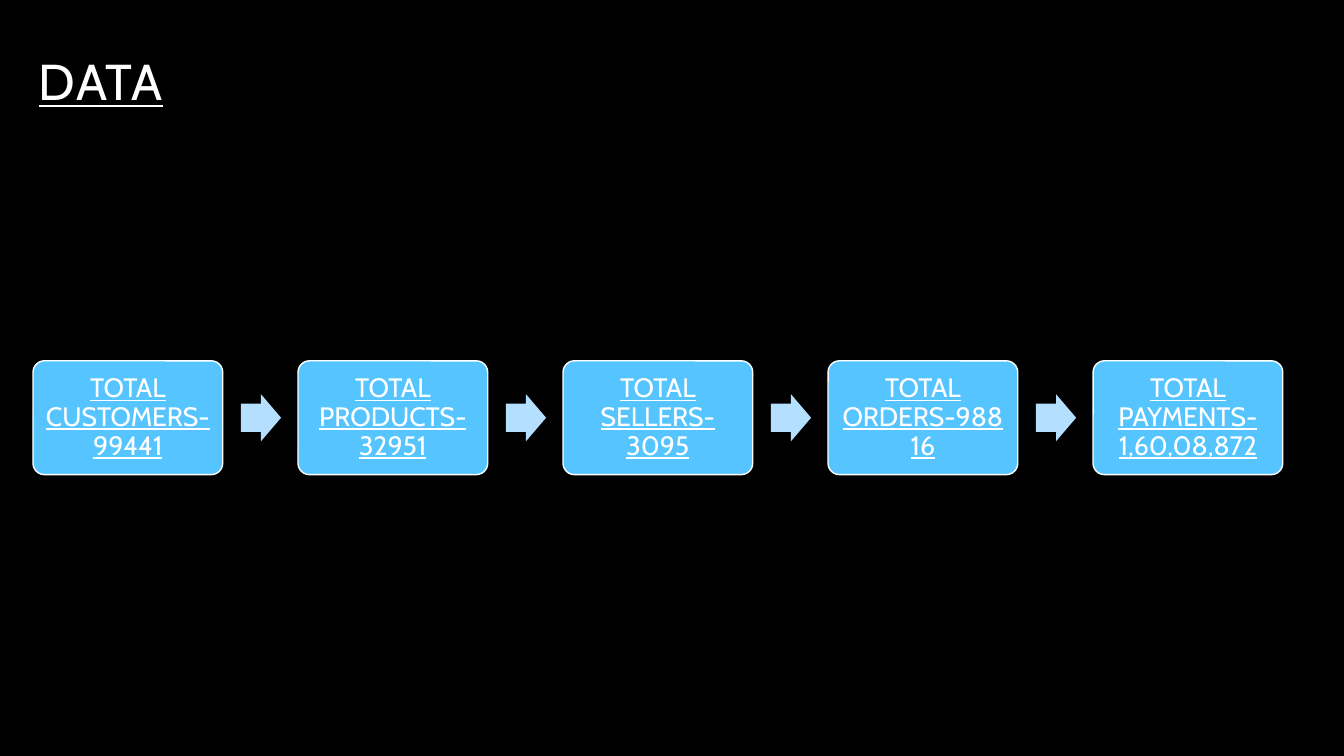
from pptx import Presentation
from pptx.dml.color import RGBColor as Rgb
from pptx.enum.shapes import MSO_SHAPE as Shape
from pptx.enum.text import MSO_ANCHOR as Anchor, PP_ALIGN as Align
from pptx.util import Pt

HUES = {"back": "000000", "text": "FFFFFF", "card": "56C5FF", "arrow": "B4DFFF"}
TOTALS = [
    "TOTAL CUSTOMERS- 99441",
    "TOTAL PRODUCTS- 32951",
    "TOTAL SELLERS- 3095",
    "TOTAL ORDERS-98816",
    "TOTAL PAYMENTS- 1,60,08,872",
]
LEFT, MID, PITCH = 23.6, 298.4, 189.3
CARD_W, CARD_H = 135.5, 81.3
ARROW_W, ARROW_H, ARROW_DX = 28.7, 33.6, 148.5


class Deck:
    face = "Cabin"

    def __init__(self, wide, high):
        self.prs = Presentation()
        self.prs.slide_width, self.prs.slide_height = Pt(wide), Pt(high)
        self.slide = self.prs.slides.add_slide(self.prs.slide_layouts[6])
        self.paint(self.slide.background.fill, "back")

    def paint(self, fill, hue):
        fill.solid()
        fill.fore_color.rgb = Rgb.from_string(HUES[hue])

    def label(self, frame, text, size, align):
        """Fill a frame with one underlined paragraph and return its run."""
        frame.word_wrap = True
        frame.text = text
        para = frame.paragraphs[0]
        para.alignment, para.line_spacing = align, 0.9
        run = para.runs[0]
        font = run.font
        font.name, font.size, font.underline = self.face, Pt(size), True
        font.color.rgb = Rgb.from_string(HUES["text"])
        return run

    def title(self, text, x, y, w, h):
        box = self.slide.shapes.add_textbox(Pt(x), Pt(y), Pt(w), Pt(h))
        frame = box.text_frame
        run = self.label(frame, text, 36, Align.LEFT)
        frame.vertical_anchor = Anchor.BOTTOM
        run._r.get_or_add_rPr().set("spc", "100")

    def shape(self, kind, x, mid, w, h, hue, adjust):
        """Add a filled shape centred vertically on mid."""
        item = self.slide.shapes.add_shape(kind, Pt(x), Pt(mid - h / 2), Pt(w), Pt(h))
        item.shadow.inherit = False
        for i, value in enumerate(adjust):
            item.adjustments[i] = value
        self.paint(item.fill, hue)
        item.line.fill.background()
        return item

    def card(self, text, x, mid, w, h):
        item = self.shape(Shape.ROUNDED_RECTANGLE, x, mid, w, h, "card", [0.1])
        self.paint(item.line.fill, "text")
        item.line.width = Pt(1)
        frame = item.text_frame
        frame.margin_left = frame.margin_right = Pt(5.76)
        frame.margin_top = frame.margin_bottom = Pt(5.76)
        frame.vertical_anchor = Anchor.MIDDLE
        self.label(frame, text, 19, Align.CENTER)

    def arrow(self, x, mid, w, h):
        self.shape(Shape.RIGHT_ARROW, x, mid, w, h, "arrow", [0.6, 0.5])


def main():
    deck = Deck(960, 540)
    deck.title("DATA", 20.7, 20.9, 819.4, 62.6)
    for i, text in enumerate(TOTALS):
        x = LEFT + i * PITCH
        deck.card(text, x, MID, CARD_W, CARD_H)
        if i < len(TOTALS) - 1:
            deck.arrow(x + ARROW_DX, MID, ARROW_W, ARROW_H)
    deck.prs.save("out.pptx")


if __name__ == "__main__":
    main()
